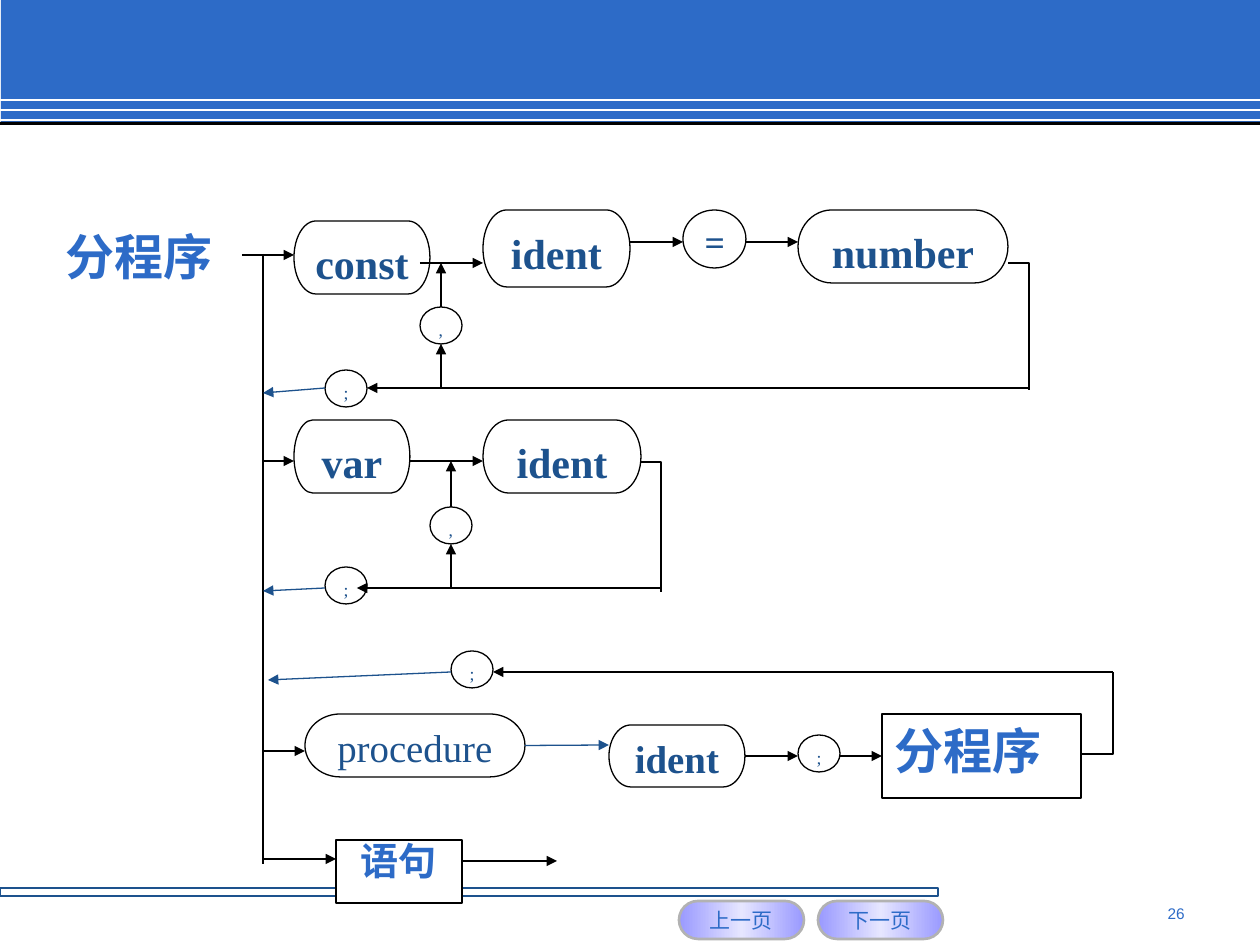
from copy import deepcopy

from lxml import etree
from pptx import Presentation
from pptx.dml.color import RGBColor
from pptx.enum.shapes import MSO_CONNECTOR, MSO_SHAPE
from pptx.enum.text import MSO_ANCHOR, PP_ALIGN
from pptx.oxml.ns import qn
from pptx.util import Pt

EMU_PER_PX = 914400 / 126
SLIDE_WIDTH, SLIDE_HEIGHT = 1260, 945
COLORS = {
    "band": "2D6BC7", "text": "1D528D", "black": "000000", "white": "FFFFFF",
    "button": "9999FF", "button_middle": "E6E6FF", "button_edge": "B2B2B2",
}
SERIF, SANS, CHINESE = "Times New Roman", "Arial", "Noto Sans CJK SC"
STRAIGHT = MSO_CONNECTOR.STRAIGHT
RECTANGLE, ROUNDED = MSO_SHAPE.RECTANGLE, MSO_SHAPE.ROUNDED_RECTANGLE
TERMINATOR = MSO_SHAPE.FLOWCHART_TERMINATOR
CIRCLE = MSO_SHAPE.FLOWCHART_CONNECTOR
PROCESS = MSO_SHAPE.FLOWCHART_PROCESS
LEFT, CENTER, RIGHT = PP_ALIGN.LEFT, PP_ALIGN.CENTER, PP_ALIGN.RIGHT
JUSTIFY = PP_ALIGN.JUSTIFY
TOP, MIDDLE = MSO_ANCHOR.TOP, MSO_ANCHOR.MIDDLE
LEFT_SIDE, RIGHT_SIDE = 1, 3


def px(value):
    return round(value * EMU_PER_PX)


def rgb(name):
    return RGBColor.from_string(COLORS[name])


def set_text(shape, text, size=24, font=SERIF, color="text", bold=False,
             align=CENTER, anchor=TOP, spacing=None, wrap=True):
    frame = shape.text_frame
    frame.word_wrap = wrap
    frame.vertical_anchor = anchor
    paragraph = frame.paragraphs[0]
    paragraph.alignment = align
    paragraph.line_spacing = spacing
    run = paragraph.add_run()
    run.text = text
    run.font.size = Pt(size)
    run.font.name = font
    run.font.bold = bold
    run.font.color.rgb = rgb(color)
    east_asian = etree.SubElement(run.font._element, qn("a:ea"))
    east_asian.set("typeface", CHINESE)


def style(shape, fill=None, line=None, weight=0.75):
    shape.shadow.inherit = False
    if fill:
        shape.fill.solid()
        shape.fill.fore_color.rgb = rgb(fill)
    else:
        shape.fill.background()
    if line:
        shape.line.color.rgb = rgb(line)
        shape.line.width = Pt(weight)
    else:
        shape.line.fill.background()


class Region:
    """Part of the slide whose shapes are placed from its top left corner."""

    def __init__(self, slide, left, top):
        self.shapes, self.left, self.top = slide.shapes, left, top

    def place(self, x, y):
        return px(self.left + x), px(self.top + y)

    def box(self, kind, x, y, width, height, **format):
        shape = self.shapes.add_shape(kind, *self.place(x, y), px(width), px(height))
        style(shape, **format)
        return shape

    def label(self, text, x, y, width, height, **format):
        box = self.shapes.add_textbox(*self.place(x, y), px(width), px(height))
        set_text(box, text, **format)

    def node(self, text, x, y, width, height, kind=TERMINATOR, **format):
        shape = self.box(kind, x, y, width, height, fill="white", line="black")
        set_text(shape, text, **{"bold": True, **format})
        return shape

    def separator(self, text, x, y):
        self.node(text, x, y, 42, 37, CIRCLE, size=10, bold=False, align=JUSTIFY)

    def line(self, x1, y1, x2, y2, color="black", weight=0.75):
        connector = self.shapes.add_connector(
            STRAIGHT, *self.place(x1, y1), *self.place(x2, y2))
        connector.line.color.rgb = rgb(color)
        connector.line.width = Pt(weight)
        etree.SubElement(connector._element.spPr, qn("a:effectLst"))
        return connector

    def arrow(self, *ends, color="black"):
        connector = self.line(*ends, color=color)
        outline = connector._element.spPr.find(qn("a:ln"))
        etree.SubElement(outline, qn("a:tailEnd")).set("type", "triangle")
        return connector

    def elbow(self, start, *points):
        builder = self.shapes.build_freeform(
            self.left + start[0], self.top + start[1], scale=EMU_PER_PX)
        builder.add_line_segments(
            [(self.left + x, self.top + y) for x, y in points], close=False)
        style(builder.convert_to_shape(), line="black")


def draw_header(slide, left, top):
    region = Region(slide, left, top)
    region.box(RECTANGLE, 1, 0, SLIDE_WIDTH - 1, 125, fill="band")
    for y in (100, 110, 120):
        region.line(0, y, SLIDE_WIDTH, y, "white", 1)
    region.box(RECTANGLE, 0, 122, SLIDE_WIDTH, 3, fill="black")


def draw_footer(slide, left, top):
    region = Region(slide, left, top)
    region.box(RECTANGLE, 0, 0, 938, 8, line="text")
    for x, text in ((679, "上一页"), (818, "下一页")):
        button = region.box(ROUNDED, x, 13, 125, 38, line="button_edge", weight=1.5)
        button.adjustments[0] = 0.5
        fill_button(button)
        set_text(button, text, size=12, font=SANS, color="band",
                 anchor=MIDDLE, wrap=False)
    region.label("26", 903, 10, 294, 34, size=8.8, font=SANS,
                 color="band", align=RIGHT)


def fill_button(button):
    """Give the button a horizontal gradient, lightest in the middle."""
    button.fill.gradient()
    button.fill.gradient_angle = 0
    first = button._element.spPr.find(".//" + qn("a:gs"))
    first.addnext(deepcopy(first))
    names = ("button", "button_middle", "button")
    for index, (stop, name) in enumerate(zip(button.fill.gradient_stops, names)):
        stop.position = index / 2
        stop.color.rgb = rgb(name)


def draw_loop(region, x, comma_y, from_y, to_y):
    """Draw the comma that leads from the return line back to the row."""
    region.separator(",", x - 21, comma_y)
    region.arrow(x, from_y, x, comma_y + 37)
    region.arrow(x, comma_y, x, to_y)


def draw_constants(slide, left, top):
    region = Region(slide, left, top)
    region.arrow(-21, 45, 31, 45)
    region.node("const", 31, 11, 136, 73)
    region.arrow(157, 53, 220, 53)
    region.node("ident", 220, 0, 147, 77)
    region.arrow(367, 32, 420, 32)
    region.node("=", 420, 0, 63, 58, CIRCLE, size=20.4, align=JUSTIFY, spacing=0.9)
    region.arrow(483, 32, 535, 32)
    region.node("number", 535, 0, 210, 73)
    region.elbow((745, 53), (766, 53), (766, 180))
    region.separator(";", 62, 160)
    region.arrow(766, 178, 104, 178)
    draw_loop(region, 178, 97, 179, 53)
    region.arrow(62, 178, 0, 183, color="text")


def draw_variables(slide, left, top):
    region = Region(slide, left, top)
    region.arrow(0, 41, 31, 41)
    region.node("var", 31, 0, 116, 73)
    region.arrow(147, 41, 220, 41)
    region.node("ident", 220, 0, 158, 73)
    region.elbow((378, 42), (398, 42), (398, 172))
    region.separator(";", 62, 147)
    region.arrow(398, 168, 94, 168)
    draw_loop(region, 188, 87, 168, 41)
    region.arrow(62, 168, 0, 171, color="text")


def draw_procedure(slide, left, top):
    region = Region(slide, left, top)
    region.arrow(0, 100, 42, 100)
    procedure = region.node("procedure", 42, 63, 220, 63, size=22.2,
                            bold=False, spacing=0.9)
    ident = region.node("ident", 346, 74, 136, 62, size=22.2, spacing=0.9)
    region.arrow(262, 94, 346, 94, color="text").begin_connect(procedure, RIGHT_SIDE)
    region.separator(";", 535, 84)
    region.arrow(482, 105, 535, 105).begin_connect(ident, RIGHT_SIDE)
    block = region.node("分程序", 619, 63, 199, 84, PROCESS, size=28,
                        color="band", align=JUSTIFY)
    region.arrow(577, 105, 619, 105).end_connect(block, LEFT_SIDE)
    region.elbow((818, 103), (850, 103), (850, 21))
    region.separator(";", 188, 0)
    region.arrow(850, 21, 230, 21)
    region.arrow(188, 21, 5, 29, color="text")


def draw_statement(slide, left, top):
    region = Region(slide, left, top)
    region.arrow(0, 19, 73, 19)
    region.node("语句", 73, 0, 126, 63, PROCESS, size=21.7, color="band", spacing=0.8)
    region.arrow(199, 21, 294, 21)


def draw_trunk(slide, left, top):
    region = Region(slide, left, top)
    region.label("分程序", -210, -34, 179, 72, size=28, font=CHINESE,
                 color="band", bold=True, align=LEFT)
    region.line(0, 0, 0, 610)


def main():
    presentation = Presentation()
    presentation.slide_width = px(SLIDE_WIDTH)
    presentation.slide_height = px(SLIDE_HEIGHT)
    slide = presentation.slides.add_slide(presentation.slide_layouts[6])
    draw_header(slide, 0, 0)
    draw_footer(slide, 0, 888)
    trunk = 263
    draw_trunk(slide, trunk, 254)
    draw_constants(slide, trunk, 210)
    draw_variables(slide, trunk, 420)
    draw_procedure(slide, trunk, 651)
    draw_statement(slide, trunk, 840)
    presentation.save("out.pptx")


if __name__ == "__main__":
    main()
